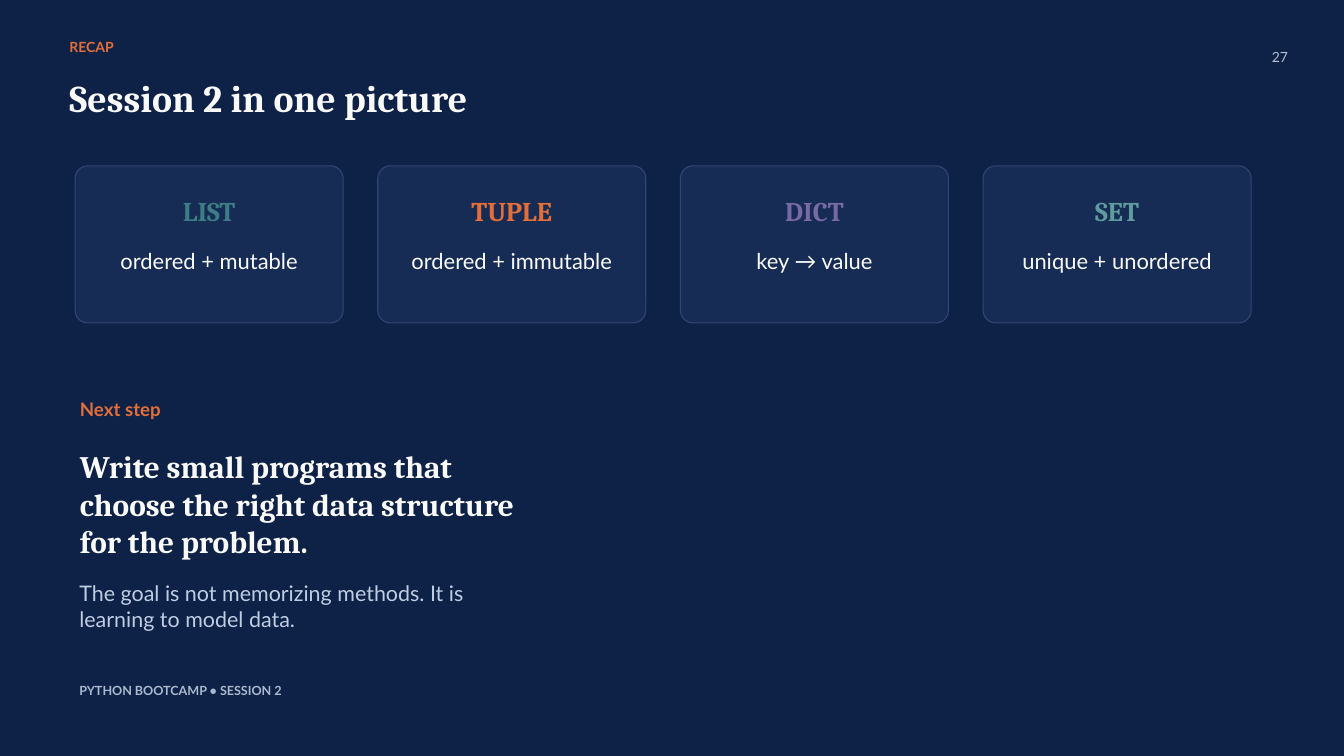
from pptx import Presentation
from pptx import util as u
from pptx.dml.color import RGBColor
from pptx.enum import shapes, text

COLORS = {
    "navy": "0E2248", "card": "162C54", "border": "32466E",
    "white": "FAFAF8", "orange": "E26F39", "teal": "3D7D85",
    "purple": "7969A5", "sage": "5F9C9E",
    "number": "B4BECD", "muted": "BECDE1", "footer": "AAB9CD",
}
SERIF, SANS = "Cambria", "Lato"
LEFT, CENTER, RIGHT = text.PP_ALIGN.LEFT, text.PP_ALIGN.CENTER, text.PP_ALIGN.RIGHT

# Card grid, in cm
CARD_LEFT, CARD_TOP, CARD_W, CARD_H = 2.84, 6.27, 10.13, 5.94
CARD_PITCH = 11.44
CAPTION_INSET = 0.71

# Heading, width of its box in cm, colour, caption
CARDS = [
    ("LIST", 2.51, "teal", "ordered + mutable"),
    ("TUPLE", 3.71, "orange", "ordered + immutable"),
    ("DICT", 2.74, "purple", "key → value"),
    ("SET", 2.11, "sage", "unique + unordered"),
]


def rgb(name):
    return RGBColor.from_string(COLORS[name])


def place(sp, x, y, w, h):
    sp.left, sp.top, sp.width, sp.height = u.Cm(x), u.Cm(y), u.Cm(w), u.Cm(h)


def write(sp, words, size, color, font=SANS, bold=False, align=LEFT, wrap=True):
    """Fill a text shape with one paragraph, without margins."""
    tf = sp.text_frame
    tf.word_wrap = wrap
    tf.auto_size = text.MSO_AUTO_SIZE.NONE
    tf.vertical_anchor = text.MSO_ANCHOR.TOP
    tf.margin_left = tf.margin_top = tf.margin_right = tf.margin_bottom = 0
    p = tf.paragraphs[0]
    p.text = words
    p.alignment = align
    p.line_spacing = u.Pt(1.2 * size)
    p.space_before = u.Pt(0)
    p.font.name, p.font.size, p.font.bold = font, u.Pt(size), bold
    p.font.color.rgb = rgb(color)


def add_text(s, x, y, w, h, words, size, color, **style):
    sp = s.shapes.add_textbox(u.Cm(x), u.Cm(y), u.Cm(w), u.Cm(h))
    write(sp, words, size, color, **style)


def add_title(s, words):
    sp = s.shapes.title
    place(sp, 2.62, 2.84, 42.44, 2.26)
    write(sp, words, 40.5, "white", font=SERIF, bold=True)


def add_card(s, x, heading, heading_w, color, caption):
    sp = s.shapes.add_shape(shapes.MSO_SHAPE.ROUNDED_RECTANGLE, u.Cm(x),
                            u.Cm(CARD_TOP), u.Cm(CARD_W), u.Cm(CARD_H))
    sp.adjustments[0] = 0.08
    sp.shadow.inherit = False
    sp.fill.solid()
    sp.fill.fore_color.rgb = rgb("card")
    sp.line.color.rgb = rgb("border")
    sp.line.width = u.Pt(1.13)
    add_text(s, x + (CARD_W - heading_w) / 2, 7.34, heading_w, 1.24, heading, 29,
             color, font=SERIF, bold=True, align=CENTER, wrap=False)
    add_text(s, x + CAPTION_INSET, 9.35, CARD_W - 2 * CAPTION_INSET, 0.99,
             caption, 23.5, "white", align=CENTER)


def main():
    prs = Presentation()
    prs.slide_width, prs.slide_height = u.Cm(50.8), u.Cm(28.58)
    s = prs.slides.add_slide(prs.slide_layouts[5])
    s.background.fill.solid()
    s.background.fill.fore_color.rgb = rgb("navy")

    add_text(s, 2.62, 1.47, 21.87, 1.09, "RECAP", 15, "orange", bold=True)
    add_title(s, "Session 2 in one picture")
    add_text(s, 46.84, 1.85, 1.85, 1.09, "27", 15, "number", align=RIGHT)

    for i, card in enumerate(CARDS):
        add_card(s, CARD_LEFT + i * CARD_PITCH, *card)

    add_text(s, 3.02, 15.04, 4.9, 0.86, "Next step", 20, "orange", bold=True)
    add_text(s, 3.02, 16.92, 17.3, 4.24,
             "Write small programs that choose the right data structure for the problem.",
             33.5, "white", font=SERIF, bold=True)
    add_text(s, 3, 21.92, 16.54, 1.91,
             "The goal is not memorizing methods. It is learning to model data.",
             23, "muted")
    add_text(s, 3, 25.83, 14.99, 0.74, "PYTHON BOOTCAMP • SESSION 2", 13.5,
             "footer", bold=True)

    prs.save("out.pptx")


if __name__ == "__main__":
    main()
